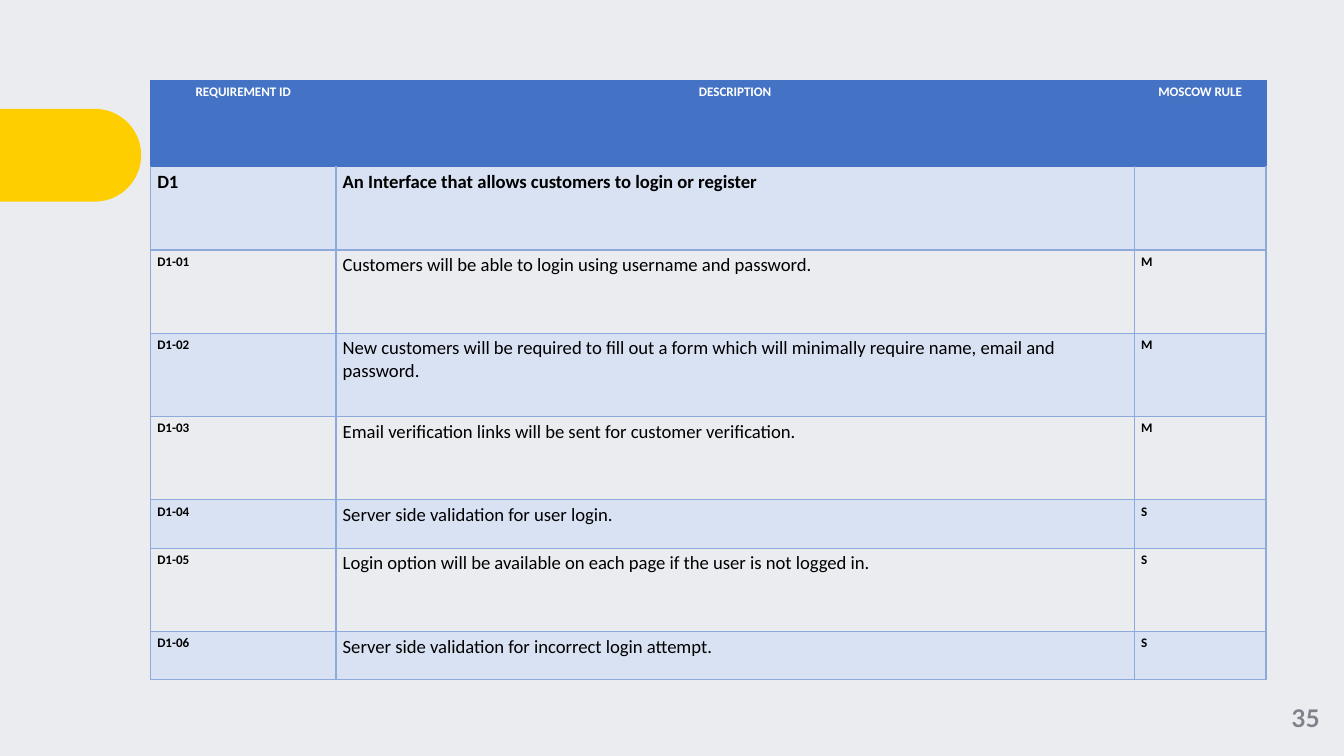
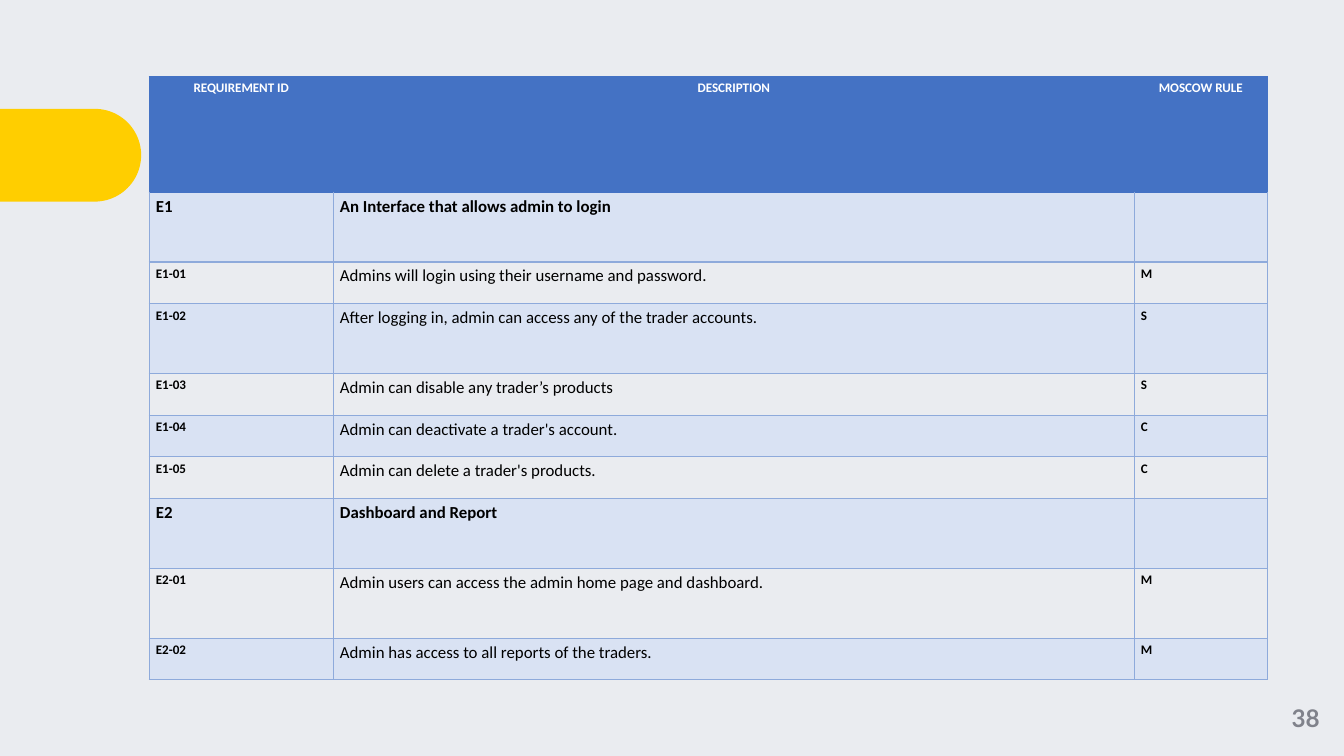
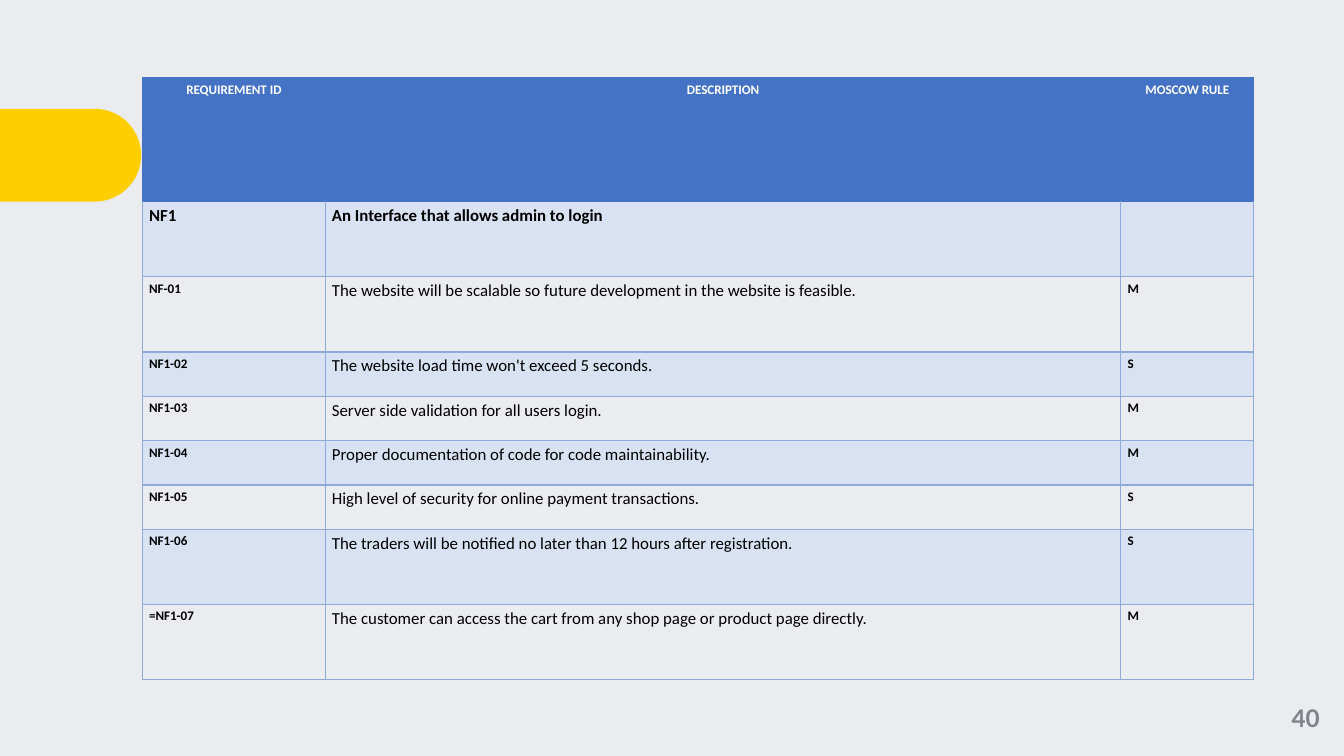
from dataclasses import dataclass

from lxml.etree import SubElement as Sub
from pptx import Presentation
from pptx.dml.color import RGBColor as RGB
from pptx.enum.shapes import MSO_SHAPE as Shape
from pptx.enum.text import MSO_ANCHOR as Anchor, PP_ALIGN as Align
from pptx.oxml.ns import qn
from pptx.util import Inches, Pt


@dataclass(frozen=True)
class Theme:
    back: str = "EAECF0"
    band: str = "FFCE00"
    head: str = "4472C4"
    tint: str = "D9E2F3"
    rule: str = "8EAADB"
    ink: str = "000000"
    white: str = "FFFFFF"
    grey: str = "80828B"
    font: str = "Calibri"
    num_font: str = "Lato"
    small: int = 7
    num: int = 13
    line: float = 0.75


@dataclass(frozen=True)
class Page:
    num: str
    left: float
    top: float
    cols: tuple
    size: int
    head: float
    tall: float
    short: float
    rows: tuple


T = Theme()
HEADS = ("REQUIREMENT ID", "DESCRIPTION", "MOSCOW RULE")

LOGIN = (
    ("tall", "D1", "An Interface that allows customers to login or register", ""),
    ("tall", "D1-01", "Customers will be able to login using username and password.", "M"),
    ("tall", "D1-02", "New customers will be required to fill out a form which will "
     "minimally require name, email and password.", "M"),
    ("tall", "D1-03", "Email verification links will be sent for customer verification.", "M"),
    ("short", "D1-04", "Server side validation for user login.", "S"),
    ("tall", "D1-05", "Login option will be available on each page if the user is not logged in.", "S"),
    ("short", "D1-06", "Server side validation for incorrect login attempt.", "S"),
)
ADMIN = (
    ("tall", "E1", "An Interface that allows admin to login", ""),
    ("short", "E1-01", "Admins will login using their username and password.", "M"),
    ("tall", "E1-02", "After logging in, admin can access any of the trader accounts.", "S"),
    ("short", "E1-03", "Admin can disable any trader’s products", "S"),
    ("short", "E1-04", "Admin can deactivate a trader's account.", "C"),
    ("short", "E1-05", "Admin can delete a trader's products.", "C"),
    ("tall", "E2", "Dashboard and Report", ""),
    ("tall", "E2-01", "Admin users can access the admin home page and dashboard.", "M"),
    ("short", "E2-02", "Admin has access to all reports of the traders.", "M"),
)
SITE = (
    ("tall", "NF1", "An Interface that allows admin to login", ""),
    ("tall", "NF-01", "The website will be scalable so future development in the website is feasible.", "M"),
    ("short", "NF1-02", "The website load time won't exceed 5 seconds.", "S"),
    ("short", "NF1-03", "Server side validation for all users login.", "M"),
    ("short", "NF1-04", "Proper documentation of code for code maintainability.", "M"),
    ("short", "NF1-05", "High level of security for online payment transactions.", "S"),
    ("tall", "NF1-06", "The traders will be notified no later than 12 hours after registration.", "S"),
    ("tall", "=NF1-07", "The customer can access the cart from any shop page or product page directly.", "M"),
)
PAGES = (
    Page("35", 1.12, 0.6, (1.38, 5.94, 0.98), 10, 0.64, 0.62, 0.36, LOGIN),
    Page("38", 1.11, 0.57, (1.37, 5.96, 0.99), 9, 0.86, 0.52, 0.31, ADMIN),
    Page("40", 1.06, 0.58, (1.36, 5.92, 0.99), 9, 0.92, 0.56, 0.33, SITE),
)


def rgb(code):
    return RGB.from_string(code)


def add_run(frame, text, size, color, bold=True, font=T.font, align=Align.LEFT):
    para = frame.paragraphs[0]
    para.alignment = align
    run = para.add_run()
    run.text = text
    run.font.size = Pt(size)
    run.font.name = font
    run.font.bold = bold
    run.font.color.rgb = rgb(color)


def add_band(slide, layout):
    band = slide.shapes.add_shape(Shape.ROUND_2_SAME_RECTANGLE, Inches(0.18),
                                  Inches(0.63), Inches(0.69), Inches(1.05))
    band.rotation = 90
    band.adjustments[0] = 0.5
    band.adjustments[1] = 0
    band.shadow.inherit = False
    band.fill.solid()
    band.fill.fore_color.rgb = rgb(T.band)
    band.line.fill.background()
    layout.shapes.element.append(band.element)


def add_num(slide, num):
    box = slide.shapes.add_textbox(Inches(9.43), Inches(5.06), Inches(0.57), Inches(0.56))
    frame = box.text_frame
    frame.word_wrap = True
    frame.vertical_anchor = Anchor.MIDDLE
    frame.margin_left = frame.margin_right = frame.margin_top = frame.margin_bottom = 0
    add_run(frame, num, T.num, T.grey, font=T.num_font, align=Align.CENTER)


def set_edges(cell, color, top):
    props = cell._tc.get_or_add_tcPr()
    for side in "LRTB":
        line = Sub(props, qn(f"a:ln{side}"), w=str(Pt(T.line)))
        fill = Sub(line, qn("a:solidFill"))
        Sub(fill, qn("a:srgbClr"), val=top if side == "T" else color)


def style_cell(cell, fill, edge, top):
    cell.margin_left = cell.margin_right = Inches(0.05)
    cell.margin_top = cell.margin_bottom = Inches(0.03)
    set_edges(cell, edge, top)
    if fill:
        cell.fill.solid()
        cell.fill.fore_color.rgb = rgb(fill)
    else:
        cell.fill.background()


def fill_head(grid):
    for col, text in enumerate(HEADS):
        cell = grid.cell(0, col)
        style_cell(cell, T.head, T.head, T.head)
        add_run(cell.text_frame, text, T.small, T.white, align=Align.CENTER)


def fill_row(grid, row, texts, size):
    group = not texts[-1]
    for col, text in enumerate(texts):
        cell = grid.cell(row, col)
        style_cell(cell, T.tint if row % 2 else None, T.rule,
                   T.head if row == 1 else T.rule)
        if text:
            big = group or col == 1
            add_run(cell.text_frame, text, size if big else T.small, T.ink,
                    bold=group or col != 1)


def add_grid(slide, page):
    highs = [page.head] + [page.tall if row[0] == "tall" else page.short for row in page.rows]
    grid = slide.shapes.add_table(len(highs), len(HEADS), Inches(page.left), Inches(page.top),
                                  Inches(sum(page.cols)), Inches(sum(highs))).table
    grid.first_row = grid.horz_banding = False
    for col, wide in zip(grid.columns, page.cols):
        col.width = Inches(wide)
    for row, high in zip(grid.rows, highs):
        row.height = Inches(high)
    fill_head(grid)
    for row, (_, *texts) in enumerate(page.rows, 1):
        fill_row(grid, row, texts, page.size)


def main():
    prs = Presentation()
    prs.slide_width = Inches(10)
    prs.slide_height = prs.slide_width * 9 // 16
    back = prs.slide_master.background.fill
    back.solid()
    back.fore_color.rgb = rgb(T.back)
    blank = prs.slide_layouts[6]
    for page in PAGES:
        slide = prs.slides.add_slide(blank)
        if page is PAGES[0]:
            add_band(slide, blank)
        add_num(slide, page.num)
        add_grid(slide, page)
    prs.save("out.pptx")


if __name__ == "__main__":
    main()
